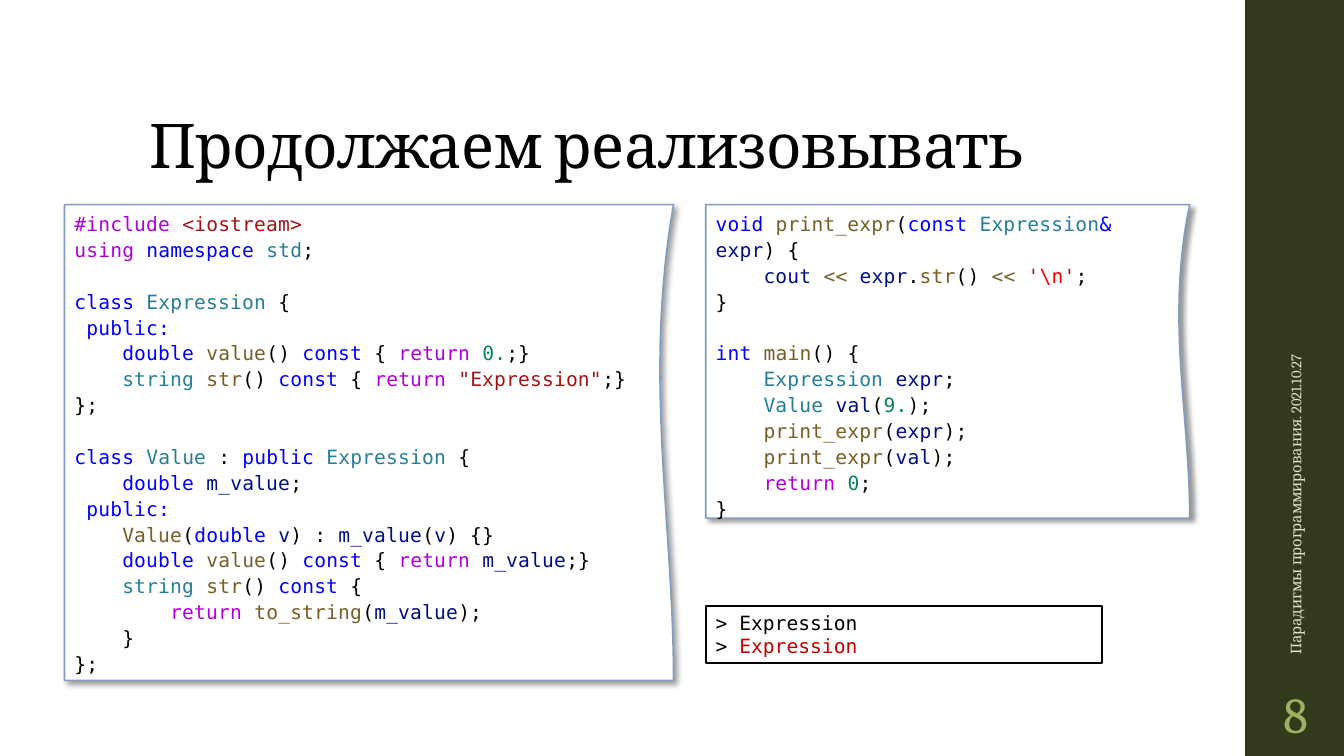
from dataclasses import dataclass

from lxml import etree
from pptx import Presentation
from pptx.dml.color import RGBColor
from pptx.enum.shapes import MSO_SHAPE
from pptx.enum.text import MSO_ANCHOR, MSO_AUTO_SIZE, PP_ALIGN
from pptx.oxml import parse_xml
from pptx.oxml.ns import nsdecls, qn
from pptx.util import Inches, Pt


@dataclass(frozen=True)
class Theme:
    """Fonts, sizes and colours of the slide."""
    font: str = "Cambria"
    mono: str = "DejaVu Sans Mono"
    title_size: float = 44
    code_size: float = 14
    footer_size: float = 10.5
    number_size: float = 36
    line_width: float = 1.1
    black: str = "000000"
    white: str = "FFFFFF"
    band: str = "333A1C"
    footer: str = "DFE5CA"
    number: str = "9EB160"
    outline: str = "809EC2"


THEME = Theme()
SYNTAX = {
    "d": THEME.black,
    "k": "0000FF",
    "c": "AF00DB",
    "t": "267F99",
    "f": "795E26",
    "v": "001080",
    "n": "098658",
    "s": "A31515",
    "e": "EE0000",
    "r": "C00000",
}

CLASSES = """~c#include ~s<iostream>
~cusing ~knamespace ~tstd~d;

~kclass ~tExpression~d {
~k public:
~k    double ~fvalue~d() ~kconst~d { ~creturn ~n0.~d;}
~t    string ~fstr~d() ~kconst~d { ~creturn ~s"Expression"~d;}
~d};

~kclass ~tValue~d : ~kpublic ~tExpression~d {
~k    double ~vm_value~d;
~k public:
~f    Value~d(~kdouble ~vv~d) : ~vm_value~d(~vv~d) {}
~k    double ~fvalue~d() ~kconst~d { ~creturn ~vm_value~d;}
~t    string ~fstr~d() ~kconst~d {
~c        return ~fto_string~d(~vm_value~d);
~d    }
~d};"""

MAIN = r"""~kvoid ~fprint_expr~d(~kconst ~tExpression~k& ~vexpr~d) {
~v    cout ~f<< ~vexpr~d.~fstr~d() ~f<< ~s'~e\n~s'~d;
~d}

~kint ~fmain~d() {
~t    Expression ~vexpr~d;
~t    Value ~vval~d(~n9.~d);
~f    print_expr~d(~vexpr~d);
~f    print_expr~d(~vval~d);
~c    return ~n0~d;
~d}"""

OUTPUT = """~d> Expression
~d> ~rExpression"""


def style_font(font, name, size, color):
    """Set the face, size and colour of a font."""
    font.name = name
    font.size = Pt(size)
    font.color.rgb = RGBColor.from_string(color)


def style_shape(sp, fill, line=None):
    """Give a shape a plain fill and an optional outline."""
    sp.shadow.inherit = False
    sp.fill.solid()
    sp.fill.fore_color.rgb = RGBColor.from_string(fill)
    if line:
        sp.line.color.rgb = RGBColor.from_string(line)
        sp.line.width = Pt(THEME.line_width)
    else:
        sp.line.fill.background()


def fill_code(sp, code, line_spacing=1.0, tracking=0):
    """Write code whose ~x marks choose the colour of the next token."""
    tf = sp.text_frame
    tf.word_wrap = True
    tf.vertical_anchor = MSO_ANCHOR.TOP
    for i, line in enumerate(code.split("\n")):
        p = tf.add_paragraph() if i else tf.paragraphs[0]
        p.alignment = PP_ALIGN.LEFT
        p.line_spacing = line_spacing
        style_font(p.font, THEME.mono, THEME.code_size, THEME.black)
        for token in line.split("~")[1:]:
            r = p.add_run()
            r.text = token[1:]
            style_font(r.font, THEME.mono, THEME.code_size, SYNTAX[token[0]])
            if tracking:
                r.font._element.set("spc", str(tracking))


def curve_right_side(sp, w, h):
    """Turn the right side of a rectangular outline into a curve."""
    side = list(sp._element.iter(qn("a:lnTo")))[1]
    curve = etree.Element(qn("a:cubicBezTo"))
    for fx, fy in ((0.95, 0.365), (1, 0.667), (1, 1)):
        etree.SubElement(curve, qn("a:pt"), x=str(int(w * fx)), y=str(int(h * fy)))
    side.getparent().replace(side, curve)


def add_shadow(sp):
    """Add a soft shadow to the lower right."""
    effects = sp._element.spPr.find(qn("a:effectLst"))
    effects.append(parse_xml(
        f'<a:outerShdw {nsdecls("a")} blurRad="{Pt(4)}" dist="{Pt(3)}" '
        'dir="2700000" algn="tl" rotWithShape="0">'
        f'<a:srgbClr val="{THEME.black}"><a:alpha val="40000"/></a:srgbClr>'
        '</a:outerShdw>'))


def add_code_sheet(s, x, y, w, h, code):
    """Add a sheet with a curved right edge holding code."""
    x, y, w, h = (Inches(v) for v in (x, y, w, h))
    builder = s.shapes.build_freeform(x, y)
    builder.add_line_segments([(x + w, y), (x + w, y + h), (x, y + h)])
    sp = builder.convert_to_shape()
    curve_right_side(sp, w, h)
    style_shape(sp, THEME.white, THEME.outline)
    add_shadow(sp)
    fill_code(sp, code, 1.1, 10)


def add_box(s, x, y, w, h, fill, line=None):
    """Add a plain rectangle."""
    sp = s.shapes.add_shape(MSO_SHAPE.RECTANGLE, *(Inches(v) for v in (x, y, w, h)))
    style_shape(sp, fill, line)
    return sp


def add_label(s, x, y, w, h, text, size, color, align=PP_ALIGN.LEFT):
    """Add a vertically centred one-line label."""
    sp = s.shapes.add_textbox(*(Inches(v) for v in (x, y, w, h)))
    tf = sp.text_frame
    tf.word_wrap = True
    tf.vertical_anchor = MSO_ANCHOR.MIDDLE
    tf.text = text
    p = tf.paragraphs[0]
    p.alignment = align
    style_font(p.runs[0].font, THEME.font, size, color)
    return sp


def set_title(s, text):
    """Place and format the title placeholder."""
    sp = s.shapes.title
    sp.left, sp.top, sp.width, sp.height = (Inches(v) for v in (1.38, 0.4, 10.6, 1.45))
    tf = sp.text_frame
    tf.text = text
    tf.auto_size = MSO_AUTO_SIZE.NONE
    tf.vertical_anchor = MSO_ANCHOR.BOTTOM
    p = tf.paragraphs[0]
    p.alignment = PP_ALIGN.LEFT
    p.line_spacing = 0.9
    font = p.runs[0].font
    style_font(font, THEME.font, THEME.title_size, THEME.black)
    font._element.set("spc", "-50")


def main():
    """Build the slide and save it."""
    prs = Presentation()
    prs.slide_width, prs.slide_height = Inches(13.33), Inches(7.5)
    s = prs.slides.add_slide(prs.slide_layouts[5])
    set_title(s, "Продолжаем реализовывать")
    add_box(s, 12.35, 0, 0.98, 7.5, THEME.band)
    footer = add_label(s, 10.89, 4.43, 3.92, 0.4, "Парадигмы программирования. 2021.10.27",
                       THEME.footer_size, THEME.footer)
    footer.rotation = 270
    add_label(s, 12.35, 6.75, 1, 0.65, "8", THEME.number_size, THEME.number, PP_ALIGN.CENTER)
    add_code_sheet(s, 0.64, 2.03, 6.04, 4.72, CLASSES)
    add_code_sheet(s, 7, 2.03, 4.8, 3.11, MAIN)
    output = add_box(s, 7, 6.01, 3.93, 0.57, THEME.white, THEME.black)
    fill_code(output, OUTPUT)
    prs.save("out.pptx")


if __name__ == "__main__":
    main()
